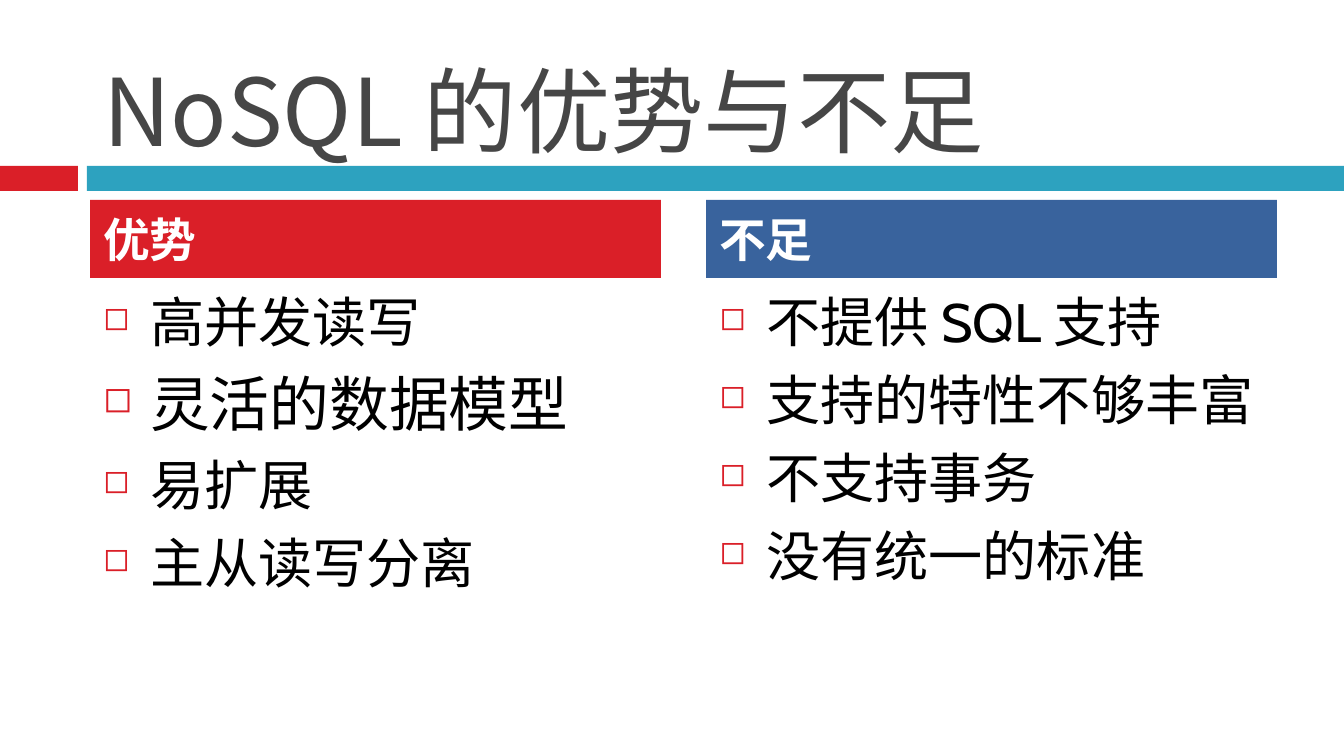
"""Build a slide that sets the strengths of NoSQL beside its weak points."""
import pptx
import pptx.util
import pptx.dml.color
import pptx.enum.shapes
import pptx.enum.text
import pptx.oxml
import pptx.oxml.ns
import lxml.etree

PX = 914400 / 134.4
THEME = {
    "red": "DA1F28", "teal": "2DA2BF", "blue": "39639D",
    "gray": "464646", "black": "000000", "white": "FFFFFF",
    "title": 50, "head": 25, "item": 29, "large": 32,
    "cjk": "Noto Sans CJK SC", "main": "Cabin", "alt": "Arial",
}
ANCHOR = pptx.enum.text.MSO_ANCHOR


def add_box(left, top, width, height, fill=None, **form):
    area = [round(n * PX) for n in (left, top, width, height)]
    if fill:
        box = slide.shapes.add_shape(pptx.enum.shapes.MSO_SHAPE.RECTANGLE, *area)
        box.shadow.inherit = False
        box.fill.solid()
        box.fill.fore_color.rgb = pptx.dml.color.RGBColor.from_string(THEME[fill])
        box.line.fill.background()
    else:
        box = slide.shapes.add_textbox(*area)
    for name, value in {"word_wrap": True, **form}.items():
        setattr(box.text_frame, name, value)
    return box.text_frame


def add_text(para, text, size, font, color, bold=False):
    para.alignment = pptx.enum.text.PP_ALIGN.LEFT
    run = para.add_run()
    run.text = text
    form = {"size": pptx.util.Pt(THEME[size]), "name": THEME[font], "bold": bold}
    for name, value in form.items():
        setattr(run.font, name, value)
    run.font.color.rgb = pptx.dml.color.RGBColor.from_string(THEME[color])
    east = lxml.etree.SubElement(run.font._element, pptx.oxml.ns.qn("a:ea"))
    east.set("typeface", THEME[font])


deck = pptx.Presentation()
deck.slide_width, deck.slide_height = round(1344 * PX), round(756 * PX)
slide = deck.slides.add_slide(deck.slide_layouts[6])

add_box(0, 166, 78, 25, "red")
add_box(87, 166, 1257, 25, "teal")
title = add_box(90, 17, 1199, 148, vertical_anchor=ANCHOR.BOTTOM, margin_bottom=0)
add_text(title.paragraphs[0], "NoSQL 的优势与不足", "title", "cjk", "gray")

columns = [
    (90, "red", "优势", ["高并发读写", "灵活的数据模型", "易扩展", "主从读写分离"]),
    (706, "blue", "不足", ["不提供 SQL 支持", "支持的特性不够丰富", "不支持事务", "没有统一的标准"]),
]
for left, fill, label, items in columns:
    head = add_box(left, 200, 571, 78, fill, vertical_anchor=ANCHOR.MIDDLE)
    add_text(head.paragraphs[0], label, "head", "main", "white", True)
    body = add_box(left, 282, 571, 387)
    for rank, item in enumerate(items):
        para = body.paragraphs[0] if rank == 0 else body.add_paragraph()
        para.space_before = pptx.util.Pt(7)
        large = item == "灵活的数据模型"
        add_text(para, item, "large" if large else "item", "alt" if large else "main", "black")
        props = para._p.get_or_add_pPr()
        for name, value in {"marL": 47, "indent": -47}.items():
            props.set(name, str(round(value * PX)))
        space = pptx.oxml.ns.nsdecls("a")
        for mark in (
            f'<a:buClr {space}><a:srgbClr val="{THEME["red"]}"/></a:buClr>',
            f'<a:buSzPct {space} val="60000"/>',
            f'<a:buChar {space} char="◻"/>',
        ):
            props.append(pptx.oxml.parse_xml(mark))

deck.save("out.pptx")
